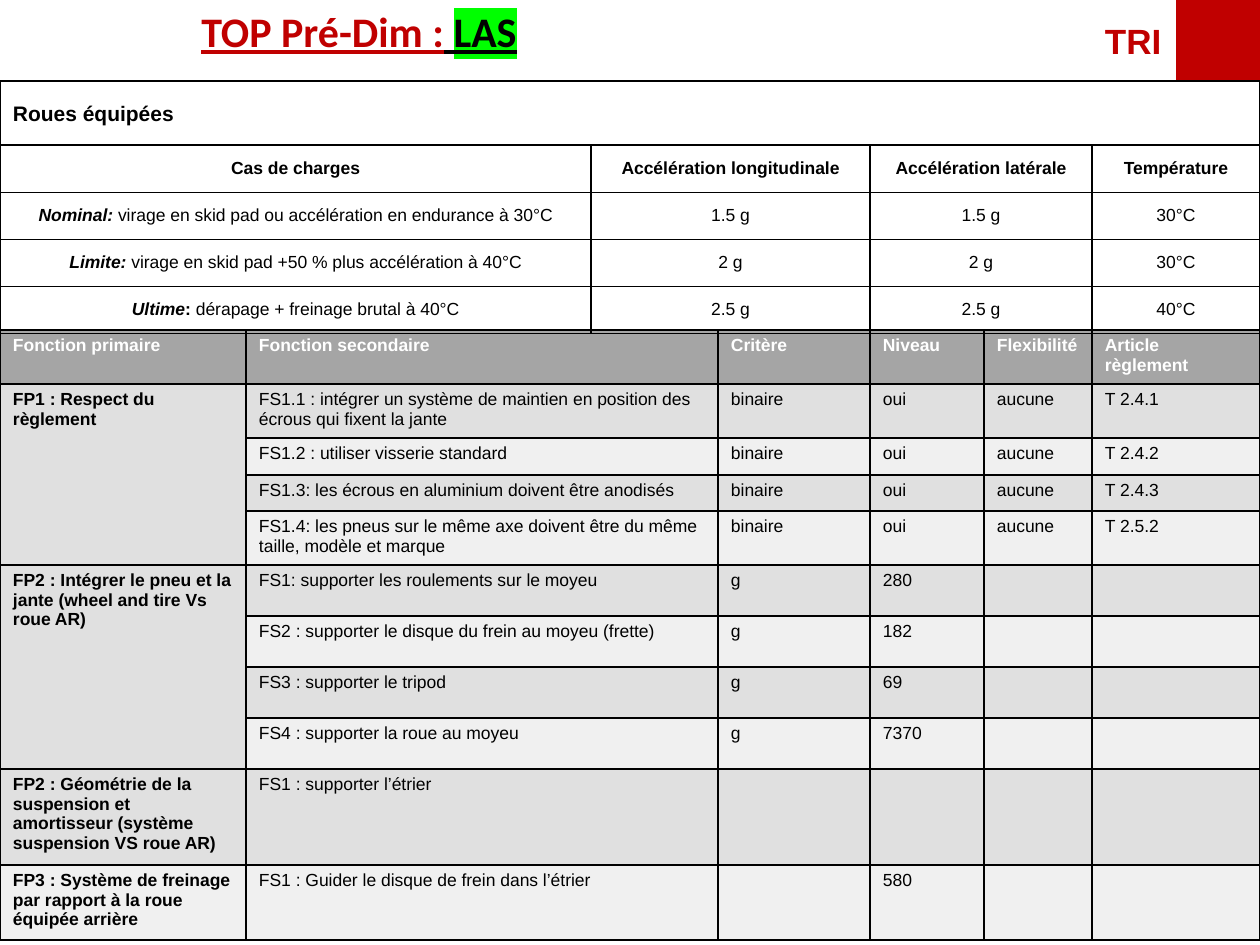
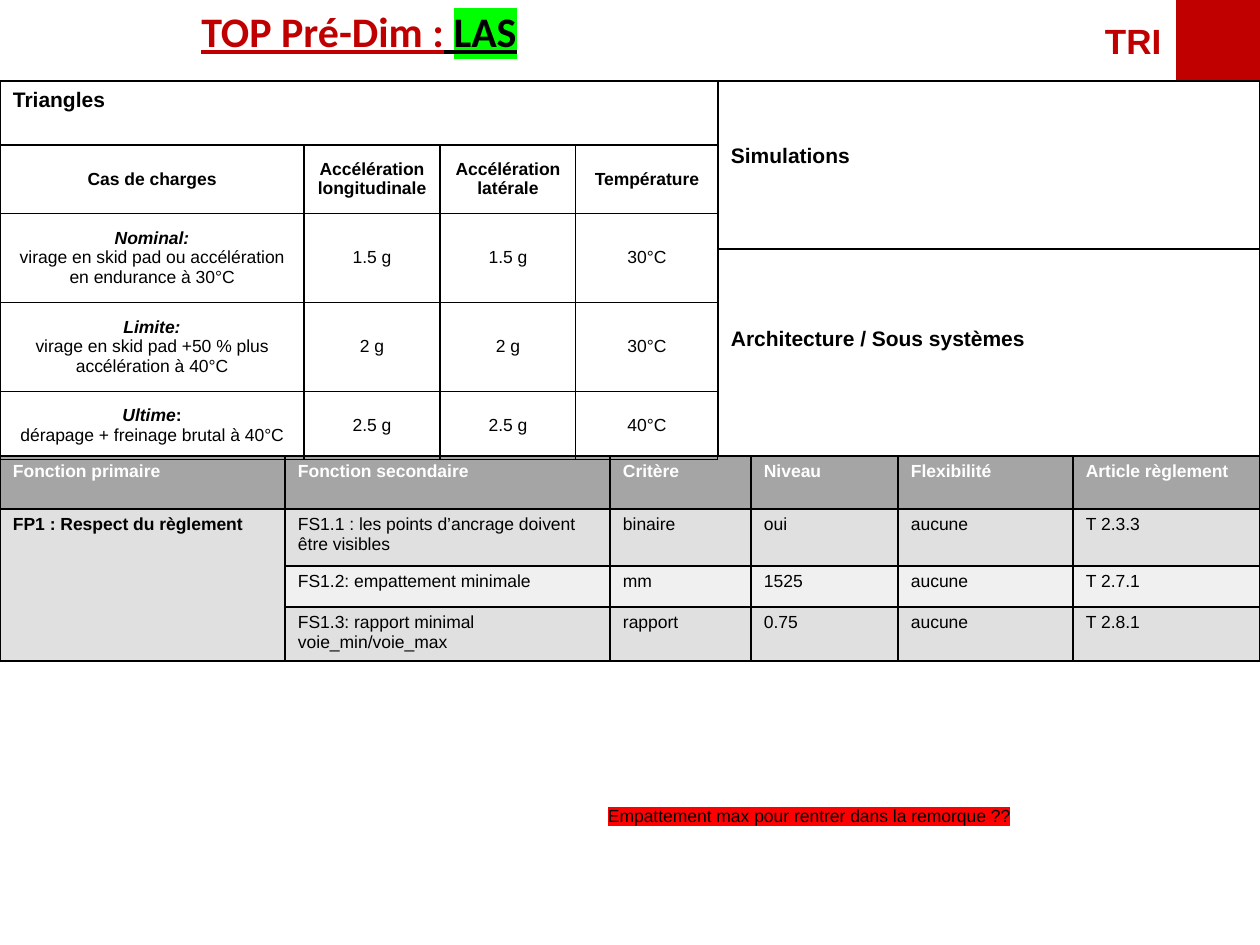
from dataclasses import dataclass
from typing import NamedTuple

from lxml.etree import SubElement
from pptx import Presentation
from pptx.dml.color import RGBColor
from pptx.enum.shapes import MSO_SHAPE
from pptx.enum.text import MSO_ANCHOR, PP_ALIGN
from pptx.oxml.ns import qn
from pptx.util import Emu, Pt

EMU_PER_PX = 914400 / 126
SLIDE_WIDTH, SLIDE_HEIGHT = 1260, 945
INSET_X, INSET_Y = 13, 6
BANNER_HEIGHT = 81
LEFT_WIDTH = 718


@dataclass(frozen=True)
class Theme:
    red: str = "C00000"
    black: str = "000000"
    white: str = "FFFFFF"
    header: str = "A5A5A5"
    bands: tuple[str, str] = ("F0F0F0", "E0E0E0")
    green_mark: str = "00FF00"
    red_mark: str = "FF0000"
    body_font: str = "Arial"
    title_font: str = "Calibri"
    title_size: int = 24
    team_size: int = 20
    heading_size: int = 12
    body_size: int = 10


THEME = Theme()


class Style(NamedTuple):
    size: int = THEME.body_size
    color: str = THEME.black
    bold: bool = False
    italic: bool = False
    underline: bool = False
    font: str = THEME.body_font
    mark: str | None = None


BODY = Style()
BOLD = Style(bold=True)
BOLD_ITALIC = Style(bold=True, italic=True)
COLUMN_HEAD = Style(color=THEME.white, bold=True)
HEADING = Style(THEME.heading_size, bold=True)
TITLE = Style(THEME.title_size, THEME.red, bold=True, underline=True, font=THEME.title_font)
TEAM = Style(THEME.team_size, THEME.red, bold=True)


class Span(NamedTuple):
    text: str
    style: Style = BODY


class Box(NamedTuple):
    left: int
    top: int
    width: int
    height: int


class Section(NamedTuple):
    heading: str
    box: Box
    anchor: MSO_ANCHOR = MSO_ANCHOR.MIDDLE
    bottom_inset: int = INSET_Y


class Grid(NamedTuple):
    top: int
    columns: tuple[int, ...]
    rows: tuple[int, ...]


class LoadCase(NamedTuple):
    name: str
    colon: Style
    description: str
    acceleration: str
    temperature: str


class Function(NamedTuple):
    """A primary function and its rows: secondary function, then criterion to rule."""
    name: str
    requirements: tuple[tuple[str, ...], ...]


LOAD_HEADS = ("Cas de charges", "Accélération longitudinale", "Accélération latérale", "Température")
LOAD_CASES = (
    LoadCase("Nominal", BOLD_ITALIC, "virage en skid pad ou accélération en endurance à 30°C", "1.5 g", "30°C"),
    LoadCase("Limite", BOLD_ITALIC, "virage en skid pad +50 % plus accélération à 40°C", "2 g", "30°C"),
    LoadCase("Ultime", BOLD, "dérapage + freinage brutal à 40°C", "2.5 g", "40°C"),
)
FUNCTION_HEADS = ("Fonction primaire", "Fonction secondaire", "Critère", "Niveau",
                  "Flexibilité", "Article règlement")
WHEEL_FUNCTIONS = (
    Function("FP1 : Respect du règlement", (
        ("FS1.1 : intégrer un système de maintien en position des écrous qui fixent la jante",
         "binaire", "oui", "aucune", "T 2.4.1"),
        ("FS1.2 : utiliser visserie standard", "binaire", "oui", "aucune", "T 2.4.2"),
        ("FS1.3: les écrous en aluminium doivent être anodisés", "binaire", "oui", "aucune", "T 2.4.3"),
        ("FS1.4: les pneus sur le même axe doivent être du même taille, modèle et marque",
         "binaire", "oui", "aucune", "T 2.5.2"),
    )),
    Function("FP2 : Intégrer le pneu et la jante (wheel and tire Vs roue AR)", (
        ("FS1: supporter les roulements sur le moyeu", "g", "280"),
        ("FS2 : supporter le disque du frein au moyeu (frette)", "g", "182"),
        ("FS3 : supporter le tripod", "g", "69"),
        ("FS4 : supporter la roue au moyeu", "g", "7370"),
    )),
    Function("FP2 : Géométrie de la suspension et amortisseur (système suspension VS roue AR)", (
        ("FS1 : supporter l’étrier",),
    )),
    Function("FP3 : Système de freinage par rapport à la roue équipée arrière", (
        ("FS1 : Guider le disque de frein dans l’étrier", "", "580"),
    )),
)
TRIANGLE_FUNCTIONS = (
    Function("FP1 : Respect du règlement", (
        ("FS1.1 : les points d’ancrage doivent être visibles", "binaire", "oui", "aucune", "T 2.3.3"),
        ("FS1.2: empattement minimale", "mm", "1525", "aucune", "T 2.7.1"),
        ("FS1.3: rapport minimal voie_min/voie_max", "rapport", "0.75", "aucune", "T 2.8.1"),
    )),
)


def px(length: int) -> Emu:
    return Emu(round(length * EMU_PER_PX))


def place(box: Box) -> tuple[Emu, ...]:
    return tuple(px(length) for length in box)


def rgb(color: str) -> RGBColor:
    return RGBColor.from_string(color)


def write(paragraph, spans: list[Span], align: PP_ALIGN = PP_ALIGN.LEFT) -> None:
    paragraph.alignment = align
    for text, style in spans:
        run = paragraph.add_run()
        run.text = text
        font = run.font
        font.size, font.name = Pt(style.size), style.font
        font.bold, font.italic, font.underline = style.bold, style.italic, style.underline
        font.color.rgb = rgb(style.color)
        if style.mark:
            properties = run._r.get_or_add_rPr()
            highlight = SubElement(properties, qn("a:highlight"))
            SubElement(highlight, qn("a:srgbClr"), val=style.mark)
            properties.find(qn("a:solidFill")).addnext(highlight)


def set_insets(target, horizontal: int, vertical: int) -> None:
    target.margin_left = target.margin_right = px(horizontal)
    target.margin_top = target.margin_bottom = px(vertical)


def add_label(slide, box: Box, spans: list[Span], align: PP_ALIGN = PP_ALIGN.LEFT, wrap: bool = True) -> None:
    frame = slide.shapes.add_textbox(*place(box)).text_frame
    frame.word_wrap = wrap
    set_insets(frame, INSET_X, INSET_Y)
    write(frame.paragraphs[0], spans, align)


def add_rectangle(slide, box: Box):
    rectangle = slide.shapes.add_shape(MSO_SHAPE.RECTANGLE, *place(box))
    rectangle.shadow.inherit = False
    return rectangle


def add_section(slide, section: Section) -> None:
    frame_shape = add_rectangle(slide, section.box)
    frame_shape.fill.background()
    frame_shape.line.color.rgb = rgb(THEME.black)
    frame_shape.line.width = Pt(1)
    frame = frame_shape.text_frame
    frame.word_wrap = True
    frame.vertical_anchor = section.anchor
    set_insets(frame, INSET_X, INSET_Y)
    frame.margin_bottom = px(section.bottom_inset)
    write(frame.paragraphs[0], [Span(section.heading, HEADING)])


def add_banner(slide) -> None:
    add_label(slide, Box(0, 0, LEFT_WIDTH, 63), [
        Span("TOP Pré-Dim :", TITLE),
        Span(" ", TITLE._replace(color=THEME.black)),
        Span("LAS", TITLE._replace(color=THEME.black, mark=THEME.green_mark)),
    ], PP_ALIGN.CENTER)
    add_label(slide, Box(1092, 13, 84, 55), [Span("TRI", TEAM)])
    corner = add_rectangle(slide, Box(1176, 0, 84, BANNER_HEIGHT))
    corner.fill.solid()
    corner.fill.fore_color.rgb = rgb(THEME.red)
    corner.line.fill.background()


def border_cell(cell, points: float) -> None:
    properties = cell._tc.get_or_add_tcPr()
    for position, side in enumerate(("a:lnL", "a:lnR", "a:lnT", "a:lnB")):
        line = SubElement(properties, qn(side), w=str(Pt(points)))
        SubElement(SubElement(line, qn("a:solidFill")), qn("a:srgbClr"), val=THEME.black)
        properties.insert(position, line)


def add_grid(slide, grid: Grid, border: float, inset_y: int, anchor: MSO_ANCHOR, fills: list[str | None]):
    """Add an empty bordered table with one fill per row."""
    box = Box(0, grid.top, sum(grid.columns), sum(grid.rows))
    table = slide.shapes.add_table(len(grid.rows), len(grid.columns), *place(box)).table
    table.first_row = table.horz_banding = False
    for column, width in zip(table.columns, grid.columns):
        column.width = px(width)
    for row, height, fill in zip(table.rows, grid.rows, fills):
        row.height = px(height)
        for cell in row.cells:
            if fill:
                cell.fill.solid()
                cell.fill.fore_color.rgb = rgb(fill)
            else:
                cell.fill.background()
            border_cell(cell, border)
            set_insets(cell, INSET_X, inset_y)
            cell.vertical_anchor = anchor
    return table


def add_load_cases(slide, grid: Grid, stacked: bool) -> None:
    """Add the load cases; stacked puts each description under its name."""
    table = add_grid(slide, grid, 0.75, INSET_X, MSO_ANCHOR.MIDDLE, [None] * len(grid.rows))
    for column, head in enumerate(LOAD_HEADS):
        write(table.cell(0, column).text_frame.paragraphs[0], [Span(head, BOLD)], PP_ALIGN.CENTER)
    for row, case in enumerate(LOAD_CASES, 1):
        frame = table.cell(row, 0).text_frame
        name = [Span(case.name, BOLD_ITALIC), Span(":" if stacked else ": ", case.colon)]
        write(frame.paragraphs[0], name, PP_ALIGN.CENTER)
        line = frame.add_paragraph() if stacked else frame.paragraphs[0]
        write(line, [Span(case.description)], PP_ALIGN.CENTER)
        values = (case.acceleration, case.acceleration, case.temperature)
        for column, value in enumerate(values, 1):
            write(table.cell(row, column).text_frame.paragraphs[0], [Span(value)], PP_ALIGN.CENTER)


def add_functions(slide, grid: Grid, functions: tuple[Function, ...]) -> None:
    fills = [THEME.header] + [THEME.bands[row % 2] for row in range(1, len(grid.rows))]
    table = add_grid(slide, grid, 1, INSET_Y, MSO_ANCHOR.TOP, fills)
    for column, head in enumerate(FUNCTION_HEADS):
        write(table.cell(0, column).text_frame.paragraphs[0], [Span(head, COLUMN_HEAD)])
    first = 1
    for function in functions:
        last = first + len(function.requirements) - 1
        primary = table.cell(first, 0)
        if last > first:
            primary.merge(table.cell(last, 0))
        write(primary.text_frame.paragraphs[0], [Span(function.name, BOLD)])
        for row, requirement in enumerate(function.requirements, first):
            for column, value in enumerate(requirement, 1):
                if value:
                    write(table.cell(row, column).text_frame.paragraphs[0], [Span(value)])
        first = last + 1


def build_wheels(slide) -> None:
    add_section(slide, Section("Roues équipées", Box(0, BANNER_HEIGHT, SLIDE_WIDTH, 64)))
    add_functions(slide, Grid(330, (246, 472, 152, 114, 108, 168),
                              (51, 52, 37, 36, 52, 51, 51, 51, 51, 90, 72)), WHEEL_FUNCTIONS)
    add_load_cases(slide, Grid(145, (591, 279, 222, 168), (45,) * 4), stacked=False)


def build_triangles(slide) -> None:
    right_width = SLIDE_WIDTH - LEFT_WIDTH
    for section in (
        Section("Triangles", Box(0, BANNER_HEIGHT, LEFT_WIDTH, 64), MSO_ANCHOR.TOP),
        Section("Simulations", Box(LEFT_WIDTH, BANNER_HEIGHT, right_width, 168), bottom_inset=26),
        Section("Architecture / Sous systèmes", Box(LEFT_WIDTH, 249, right_width, 207), bottom_inset=34),
    ):
        add_section(slide, section)
    add_functions(slide, Grid(456, (285, 325, 141, 147, 175, 187), (53, 57, 41, 52)), TRIANGLE_FUNCTIONS)
    add_load_cases(slide, Grid(145, (304, 136, 136, 142), (64, 85, 85, 64)), stacked=True)
    add_label(slide, Box(595, 799, 430, 34),
              [Span("Empattement max pour rentrer dans la remorque ??", Style(mark=THEME.red_mark))], wrap=False)


def main() -> None:
    deck = Presentation()
    deck.slide_width, deck.slide_height = px(SLIDE_WIDTH), px(SLIDE_HEIGHT)
    for build in (build_wheels, build_triangles):
        slide = deck.slides.add_slide(deck.slide_layouts[6])
        add_banner(slide)
        build(slide)
    deck.save("out.pptx")


if __name__ == "__main__":
    main()
